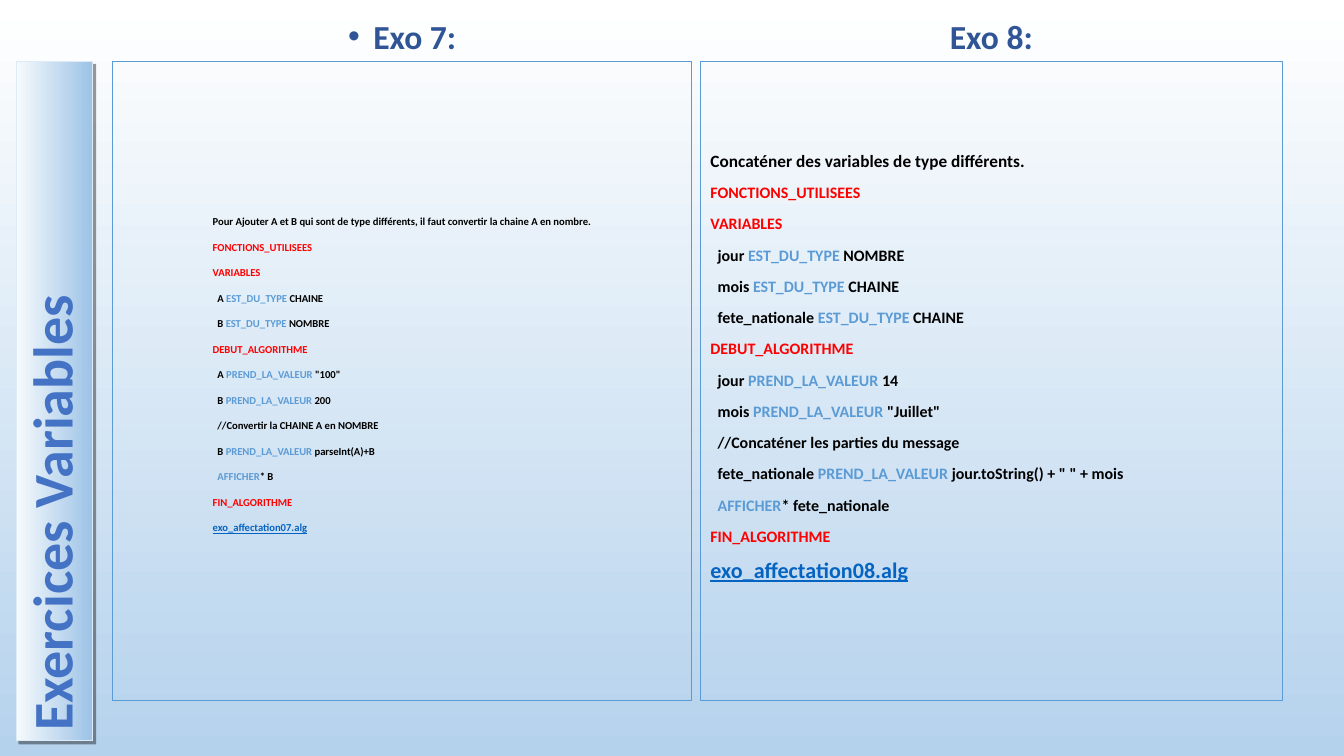
"""Build the slide comparing two algorithm exercises on variables."""
import dataclasses

import lxml.etree
import pptx
import pptx.dml.color
import pptx.enum.dml
import pptx.enum.shapes
import pptx.enum.text
import pptx.oxml.ns
import pptx.util

Pt = pptx.util.Pt
Anchor = pptx.enum.text.MSO_ANCHOR
Align = pptx.enum.text.PP_ALIGN

SIDE_TITLE = "Exercices Variables"
EXERCISES = [
    {
        "heading": "Exo 7:", "bullet": True,
        "left": 80.64, "width": 413.28, "indent": 71.3, "lift": 7.9,
        "intro_size": 7.6, "code_size": 7.6, "file_size": 7.6,
        "intro": "Pour Ajouter A et B qui sont de type différents, "
                 "il faut convertir la chaine A en nombre.",
        "code": [
            "FONCTIONS_UTILISEES",
            "VARIABLES",
            "  A EST_DU_TYPE CHAINE",
            "  B EST_DU_TYPE NOMBRE",
            "DEBUT_ALGORITHME",
            '  A PREND_LA_VALEUR "100"',
            "  B PREND_LA_VALEUR 200",
            "  //Convertir la CHAINE A en NOMBRE",
            "  B PREND_LA_VALEUR parseInt(A)+B",
            "  AFFICHER* B",
            "FIN_ALGORITHME",
        ],
        "file": "exo_affectation07.alg",
    },
    {
        "heading": "Exo 8:", "bullet": False,
        "left": 500.4, "width": 415.44, "indent": 7.2, "lift": 18.6,
        "intro_size": 12.3, "code_size": 11.4, "file_size": 15.8,
        "intro": "Concaténer des variables de type différents.",
        "code": [
            "FONCTIONS_UTILISEES",
            "VARIABLES",
            "  jour EST_DU_TYPE NOMBRE",
            "  mois EST_DU_TYPE CHAINE",
            "  fete_nationale EST_DU_TYPE CHAINE",
            "DEBUT_ALGORITHME",
            "  jour PREND_LA_VALEUR 14",
            '  mois PREND_LA_VALEUR "Juillet"',
            "  //Concaténer les parties du message",
            '  fete_nationale PREND_LA_VALEUR jour.toString() + " " + mois',
            "  AFFICHER* fete_nationale",
            "FIN_ALGORITHME",
        ],
        "file": "exo_affectation08.alg",
    },
]
SECTION_WORDS = ("FONCTIONS_UTILISEES", "VARIABLES", "DEBUT_ALGORITHME", "FIN_ALGORITHME")
INSTRUCTION_WORDS = ("EST_DU_TYPE", "PREND_LA_VALEUR", "AFFICHER")

HEADING_TOP, HEADING_HEIGHT = 7.2, 36.72
PANEL_TOP, PANEL_HEIGHT = 43.92, 456.48
SIDE_LEFT, SIDE_WIDTH, SIDE_HEIGHT = 11.5, 54.72, 485.28


@dataclasses.dataclass(frozen=True)
class Theme:
    """Colours, font and type sizes of the slide."""
    font: str = "Calibri"
    background: tuple = ("FFFFFF", "B5D2EC")
    side_fill: tuple = ("F7FAFD", "9DC3E6")
    side_line: str = "DEEBF7"
    side_text: str = "4472C4"
    heading: str = "2F5597"
    text: str = "000000"
    section: str = "FF0000"
    instruction: str = "5B9BD5"
    panel_line: str = "5B9BD5"
    file: str = "0563C1"
    shadow: str = "000000"
    side_size: float = 40
    heading_size: float = 24
    line_spacing: float = 0.9
    space_before: float = 10
    line_width: float = 0.75


THEME = Theme()


def rgb(value):
    return pptx.dml.color.RGBColor.from_string(value)


def add_xml(parent, tag, **attributes):
    element = lxml.etree.SubElement(parent, pptx.oxml.ns.qn(tag))
    for name, value in attributes.items():
        element.set(name, str(value))
    return element


def fill_gradient(fill, colours, angle):
    fill.gradient()
    fill.gradient_angle = angle
    for stop, colour in zip(fill.gradient_stops, colours):
        stop.color.rgb = rgb(colour)


def add_run(paragraph, text, size, colour, underline=None):
    run = paragraph.add_run()
    run.text = text
    run.font.name = THEME.font
    run.font.size = Pt(size)
    run.font.bold = True
    run.font.underline = underline
    run.font.color.rgb = rgb(colour)


def next_paragraph(frame, first=False, align=Align.LEFT):
    paragraph = frame.paragraphs[0] if first else frame.add_paragraph()
    paragraph.alignment = align
    paragraph.line_spacing = THEME.line_spacing
    if not first:
        paragraph.space_before = Pt(THEME.space_before)
    return paragraph


def set_frame(shape, anchor, left=7.2, bottom=3.6):
    frame = shape.text_frame
    frame.word_wrap = True
    frame.vertical_anchor = anchor
    frame.margin_left, frame.margin_right = Pt(left), Pt(7.2)
    frame.margin_top, frame.margin_bottom = Pt(3.6), Pt(bottom)
    return frame


def add_rectangle(slide, left, width, height, line):
    shape = slide.shapes.add_shape(
        pptx.enum.shapes.MSO_SHAPE.RECTANGLE, Pt(left), Pt(PANEL_TOP), Pt(width), Pt(height))
    shape.shadow.inherit = False
    shape.line.color.rgb = rgb(line)
    shape.line.width = Pt(THEME.line_width)
    return shape


def add_side_title(slide):
    shape = add_rectangle(slide, SIDE_LEFT, SIDE_WIDTH, SIDE_HEIGHT, THEME.side_line)
    fill_gradient(shape.fill, THEME.side_fill, 0)
    effects = shape._element.spPr.find(pptx.oxml.ns.qn("a:effectLst"))
    shadow = add_xml(effects, "a:outerShdw", blurRad=0, dist=Pt(3), dir=45 * 60000, algn="tl")
    add_xml(add_xml(shadow, "a:srgbClr", val=THEME.shadow), "a:alpha", val=40000)
    frame = set_frame(shape, Anchor.MIDDLE)
    frame._txBody.bodyPr.set("vert", "vert270")
    add_run(next_paragraph(frame, first=True), SIDE_TITLE, THEME.side_size, THEME.side_text)


def add_heading(slide, exercise):
    box = slide.shapes.add_textbox(
        Pt(exercise["left"]), Pt(HEADING_TOP), Pt(exercise["width"]), Pt(HEADING_HEIGHT))
    paragraph = next_paragraph(set_frame(box, Anchor.BOTTOM), first=True, align=Align.CENTER)
    if exercise["bullet"]:
        properties = paragraph._p.get_or_add_pPr()
        properties.set("marL", str(Pt(18)))
        properties.set("indent", str(Pt(-18)))
        add_xml(add_xml(properties, "a:buClr"), "a:srgbClr", val=THEME.heading)
        add_xml(properties, "a:buFont", typeface="Arial")
        add_xml(properties, "a:buChar", char="•")
    add_run(paragraph, exercise["heading"], THEME.heading_size, THEME.heading)


def add_code_line(paragraph, line, size):
    word = next((word for word in INSTRUCTION_WORDS if word in line), None)
    if word is None:
        add_run(paragraph, line, size, THEME.section if line in SECTION_WORDS else THEME.text)
        return
    before, _, after = line.partition(word)
    add_run(paragraph, before, size, THEME.text)
    add_run(paragraph, word, size, THEME.instruction)
    add_run(paragraph, after, size, THEME.text)


def add_panel(slide, exercise):
    panel = add_rectangle(
        slide, exercise["left"], exercise["width"], PANEL_HEIGHT, THEME.panel_line)
    panel.fill.background()
    frame = set_frame(panel, Anchor.MIDDLE, exercise["indent"], 3.6 + exercise["lift"])
    add_run(next_paragraph(frame, first=True),
            exercise["intro"], exercise["intro_size"], THEME.text)
    for line in exercise["code"]:
        add_code_line(next_paragraph(frame), line, exercise["code_size"])
    add_run(next_paragraph(frame), exercise["file"], exercise["file_size"], THEME.file, True)


def main():
    presentation = pptx.Presentation()
    presentation.slide_width, presentation.slide_height = Pt(960), Pt(540)
    slide = presentation.slides.add_slide(presentation.slide_layouts[6])
    fill_gradient(slide.background.fill, THEME.background, 270)
    add_side_title(slide)
    for exercise in EXERCISES:
        add_heading(slide, exercise)
        add_panel(slide, exercise)
    presentation.save("out.pptx")


if __name__ == "__main__":
    main()
